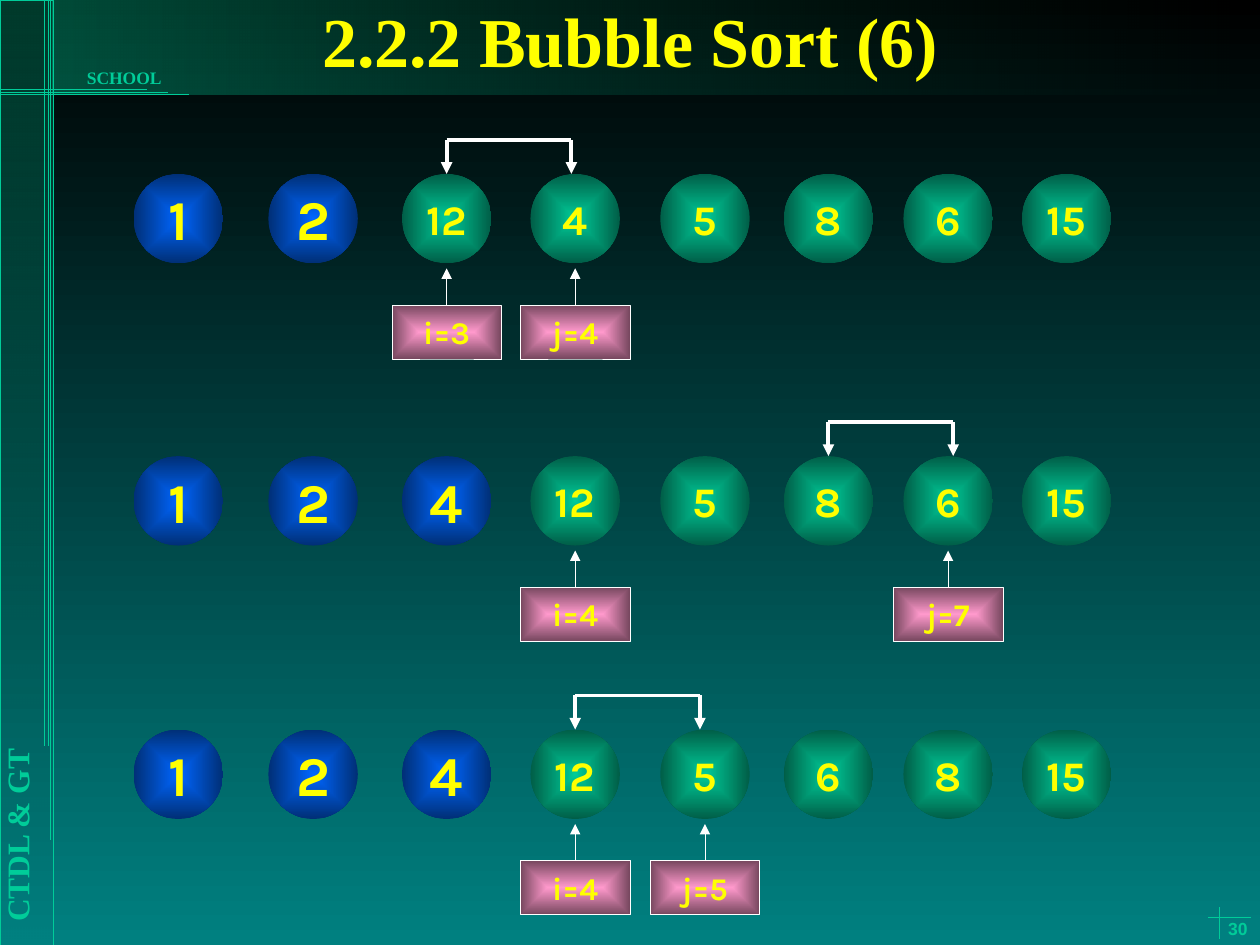
from pptx import Presentation
from pptx.dml.color import RGBColor
from pptx.enum.shapes import MSO_CONNECTOR, MSO_SHAPE
from pptx.enum.text import MSO_ANCHOR, MSO_AUTO_SIZE, PP_ALIGN
from pptx.oxml import parse_xml
from pptx.oxml.ns import nsdecls, qn
from pptx.util import Inches, Pt

RECTANGLE, OVAL = MSO_SHAPE.RECTANGLE, MSO_SHAPE.OVAL
STRAIGHT = MSO_CONNECTOR.STRAIGHT
LEFT, CENTER, RIGHT = PP_ALIGN.LEFT, PP_ALIGN.CENTER, PP_ALIGN.RIGHT
TOP, MIDDLE, BOTTOM = MSO_ANCHOR.TOP, MSO_ANCHOR.MIDDLE, MSO_ANCHOR.BOTTOM
NO_AUTOFIT = MSO_AUTO_SIZE.NONE

GREEN, DARK_GREEN = "00CC99", "005E47"
BLUE, DARK_BLUE = "0066FF", "002F76"
PINK, DARK_PINK = "FF99CC", "76475E"
YELLOW, WHITE, BLACK, TEAL = "FFFF00", "FFFFFF", "000000", "008080"
SERIF, SANS, ROUNDED = "Times New Roman", "Arial", "Karla"

BALL = 0.71
BOX_WIDTH, BOX_HEIGHT = 0.87, 0.43
BRACKET_WIDTH, BRACKET_RISE = 0.99, 0.27
BALL_LEFTS = [1.06, 2.13, 3.19, 4.21, 5.24, 6.22, 7.17, 8.11]

# Top of the row, values, sorted count, positions of i and j
STEPS = [
    (1.38, [1, 2, 12, 4, 5, 8, 6, 15], 2, 3, 4),
    (3.62, [1, 2, 4, 12, 5, 8, 6, 15], 3, 4, 7),
    (5.79, [1, 2, 4, 12, 5, 6, 8, 15], 3, 4, 5),
]

# Thin decorative lines: x1, y1, x2, y2
FRAME_LINES = [
    (0.35, 0, 0.35, 5.92), (0.38, 0, 0.38, 5.92), (0.4, 0, 0.4, 6.67),
    (0, 0.71, 1.17, 0.71), (0, 0.73, 1.33, 0.73), (0, 0.75, 1.5, 0.75),
    (9.59, 7.28, 9.93, 7.28), (9.68, 7.2, 9.68, 7.45),
]


def color(value):
    return RGBColor.from_string(value)


def set_gradient(shape, start, end, angle=None, opacity=(100, 100)):
    """Linear gradient at an angle, or a rectangular one from the centre."""
    stops = "".join(
        f'<a:gs pos="{position}"><a:srgbClr val="{value}">'
        f'<a:alpha val="{alpha * 1000}"/></a:srgbClr></a:gs>'
        for position, value, alpha in zip((0, 100000), (start, end), opacity))
    if angle is None:
        direction = ('<a:path path="rect"><a:fillToRect l="50000" t="50000" '
                     'r="50000" b="50000"/></a:path>')
    else:
        direction = f'<a:lin ang="{angle * 60000}" scaled="0"/>'
    shape.fill.solid()
    properties = shape.element.spPr
    properties.replace(properties.find(qn("a:solidFill")), parse_xml(
        f'<a:gradFill {nsdecls("a")} rotWithShape="1">'
        f'<a:gsLst>{stops}</a:gsLst>{direction}</a:gradFill>'))


def write_text(shape, text, size, font, value, align, anchor, wrap=True, before=0):
    frame = shape.text_frame
    frame.text = text
    frame.auto_size = NO_AUTOFIT
    frame.word_wrap = wrap
    frame.vertical_anchor = anchor
    frame.margin_left = frame.margin_right = Inches(0.1)
    frame.margin_top = frame.margin_bottom = Inches(0.05)
    para = frame.paragraphs[0]
    para.alignment = align
    para.space_before = Pt(before)
    span = para.runs[0].font
    span.name, span.size, span.bold = font, Pt(size), True
    span.color.rgb = color(value)


def add_panel(page, kind, left, top, width, height, line=None):
    shape = page.shapes.add_shape(
        kind, Inches(left), Inches(top), Inches(width), Inches(height))
    shape.shadow.inherit = False
    if line:
        shape.line.color.rgb = color(line)
        shape.line.width = Pt(0.25)
    else:
        shape.line.fill.background()
    return shape


def add_label(page, left, top, width, height, text, size, font, align,
              anchor=TOP, before=0):
    box = page.shapes.add_textbox(
        Inches(left), Inches(top), Inches(width), Inches(height))
    write_text(box, text, size, font, GREEN, align, anchor, before=before)
    return box


def add_line(page, x1, y1, x2, y2, value, width, arrow=False):
    line = page.shapes.add_connector(
        STRAIGHT, Inches(x1), Inches(y1), Inches(x2), Inches(y2))
    line.line.color.rgb = color(value)
    line.line.width = Pt(width)
    if arrow:
        line.line._get_or_add_ln().append(
            parse_xml(f'<a:tailEnd {nsdecls("a")} type="triangle"/>'))
    line.element.spPr.append(parse_xml(f'<a:effectLst {nsdecls("a")}/>'))
    return line


def add_frame(page):
    """Background, side and top bands, thin lines and fixed labels."""
    page.background.fill.solid()
    page.background.fill.fore_color.rgb = color(BLACK)
    set_gradient(add_panel(page, RECTANGLE, 0, 0, 10, 7.5), BLACK, TEAL, 90)
    side = add_panel(page, RECTANGLE, 0, 0, 0.42, 7.5, GREEN)
    set_gradient(side, GREEN, DARK_GREEN, 90, (29, 0))
    band = add_panel(page, RECTANGLE, 0.42, 0, 9.58, 0.75)
    set_gradient(band, GREEN, DARK_GREEN, 0, (37, 0))
    for ends in FRAME_LINES:
        add_line(page, *ends, GREEN, 0.25)
    course = add_label(page, -1.95, 5.13, 4.17, 0.4, "CTDL & GT", 18, SERIF,
                       LEFT, before=11.2)
    course.rotation = 270
    add_label(page, 0.12, 0.48, 1.26, 0.27, "SCHOOL", 10, SERIF, RIGHT, before=6.2)
    add_label(page, 9.5, 7.33, 0.5, 0.17, "30", 10, SANS, RIGHT, BOTTOM)


def add_title(page, text):
    title = page.shapes.title
    title.left, title.top = Inches(0.75), Inches(-0.11)
    title.width, title.height = Inches(8.5), Inches(0.84)
    write_text(title, text, 40, SERIF, YELLOW, CENTER, MIDDLE)
    # Bring the placeholder in front of the frame
    title.element.getparent().append(title.element)


def add_ball(page, left, top, number, is_sorted):
    ball = add_panel(page, OVAL, left, top, BALL, BALL)
    set_gradient(ball, *((BLUE, DARK_BLUE) if is_sorted else (GREEN, DARK_GREEN)))
    write_text(ball, str(number), 32 if is_sorted else 24, ROUNDED, YELLOW,
               CENTER, MIDDLE, wrap=False)


def add_pointer(page, center, top, text):
    """Index box below a ball, with an arrow up to the ball."""
    box = add_panel(page, RECTANGLE, center - BOX_WIDTH / 2, top + 1.04,
                    BOX_WIDTH, BOX_HEIGHT, WHITE)
    set_gradient(box, PINK, DARK_PINK)
    write_text(box, text, 18, ROUNDED, YELLOW, CENTER, MIDDLE, wrap=False)
    arrow = add_line(page, center, top + 1.04, center, top + 0.75, WHITE, 0.25, True)
    arrow.begin_connect(box, 0)


def add_swap_bracket(page, start, top):
    end, bar = start + BRACKET_WIDTH, top - BRACKET_RISE
    add_line(page, start, bar, end, bar, WHITE, 2.25)
    for x in (start, end):
        add_line(page, x, bar, x, top, WHITE, 2.25, True)


def add_step(page, top, numbers, sorted_count, i, j):
    for index, (left, number) in enumerate(zip(BALL_LEFTS, numbers)):
        add_ball(page, left, top, number, index < sorted_count)
    centers = [left + BALL / 2 for left in BALL_LEFTS]
    add_pointer(page, centers[i - 1], top, f"i={i}")
    add_pointer(page, centers[j - 1], top, f"j={j}")
    # The bracket joins the value at j to its left neighbour
    add_swap_bracket(page, centers[j - 2], top)


def main():
    deck = Presentation()
    deck.slide_width, deck.slide_height = Inches(10), Inches(7.5)
    page = deck.slides.add_slide(deck.slide_layouts[5])
    add_frame(page)
    add_title(page, "2.2.2 Bubble Sort (6)")
    for step in STEPS:
        add_step(page, *step)
    deck.save("out.pptx")


if __name__ == "__main__":
    main()
